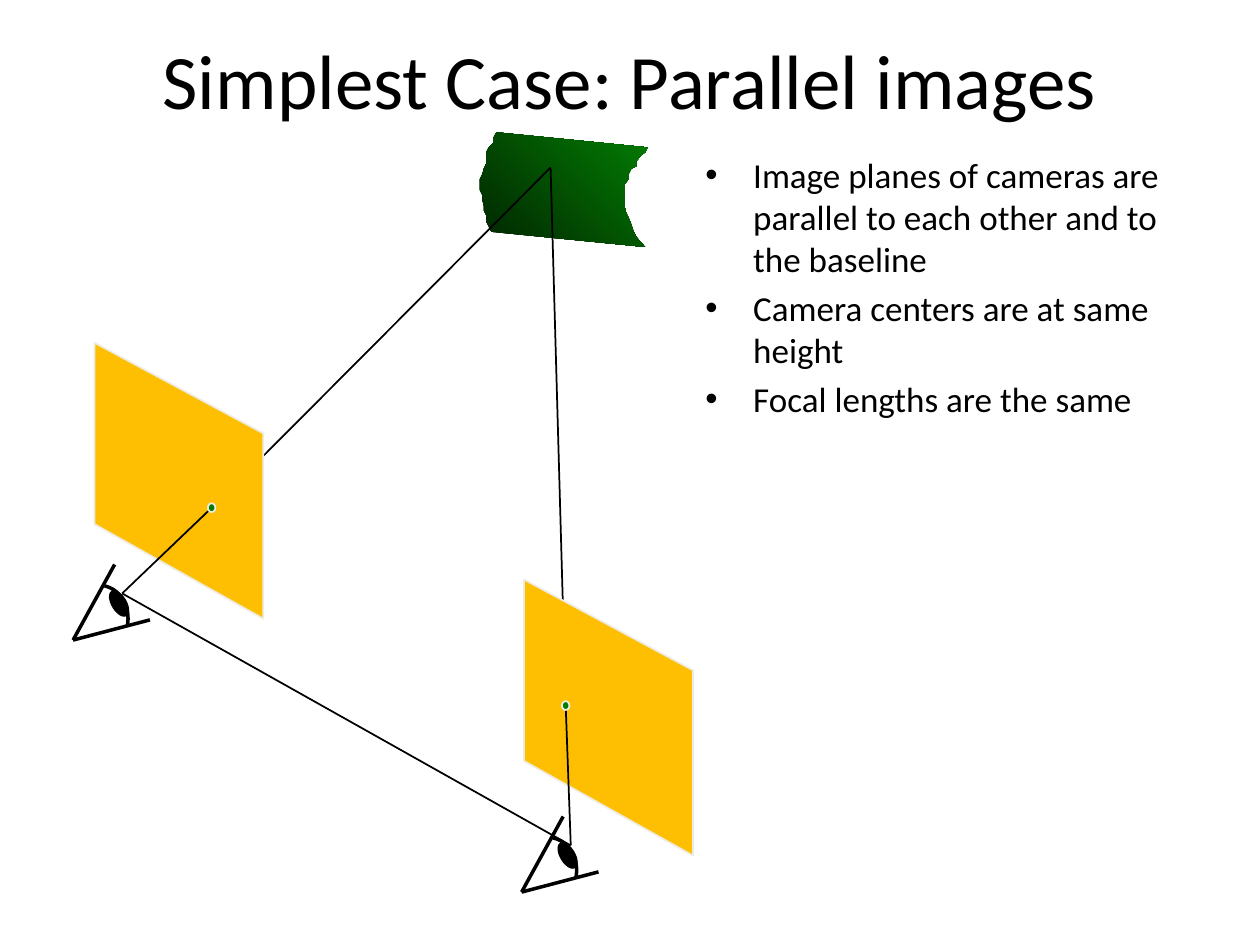
import pptx
import pptx.util
import pptx.dml.color
import pptx.enum.shapes
import pptx.enum.text
from lxml import etree

Inches, Pt = pptx.util.Inches, pptx.util.Pt

# Content
TITLE = "Simplest Case: Parallel images"
BULLETS = [
    "Image planes of cameras are parallel to each other and to the baseline",
    "Camera centers are at same height",
    "Focal lengths are the same",
]
FONT = "Calibri"
COLORS = {"ink": "000000", "plane": "FEBF02", "edge": "EEECE1",
          "dot": "037C03", "dark green": "012501", "green": "037C03"}

# Geometry in inches
SCENE_POINT = (4.37, 1.33)
CAMERAS = [
    {"center": (0.97, 4.71), "image": (1.68, 4.03), "plane": (0.75, 2.72), "eye": (0.58, 5.08)},
    {"center": (4.53, 6.71), "image": (4.49, 5.6), "plane": (4.16, 4.6), "eye": (4.14, 7.08)},
]
PLANE = [(0, 1.44), (1.34, 2.19), (1.34, 0.72), (0, 0)]
EYE_LIDS = [(0.33, -0.6), (0.61, -0.16)]
EYE_CURVE = [(0.25, -0.43), (0.38, -0.4), (0.46, -0.26), (0.43, -0.11)]
PUPIL_CENTER, PUPIL_SIZE = (0.365, -0.29), (0.11, 0.22)
DOT_SIZE = (0.06, 0.07)
SURFACE = [
    (3.94, 1.05), (3.92, 1.09), (3.92, 1.13), (3.88, 1.17), (3.86, 1.21), (3.86, 1.3),
    (3.84, 1.34), (3.83, 1.38), (3.81, 1.42), (3.81, 1.51), (3.83, 1.55), (3.83, 1.59),
    (3.84, 1.63), (3.84, 1.67), (3.86, 1.71), (3.86, 1.76), (3.88, 1.8), (3.9, 1.84),
    (5.12, 1.96), (5.05, 1.88), (5.03, 1.84), (5.01, 1.78), (4.99, 1.73), (4.97, 1.69),
    (4.96, 1.65), (4.96, 1.46), (4.99, 1.42), (4.99, 1.38), (5.01, 1.34), (5.05, 1.32),
    (5.05, 1.28), (5.09, 1.23), (5.12, 1.21), (5.14, 1.17),
]

presentation = pptx.Presentation()
presentation.slide_width, presentation.slide_height = Inches(10), Inches(7.5)
slide = presentation.slides.add_slide(presentation.slide_layouts[5])


def color(name):
    return pptx.dml.color.RGBColor.from_string(COLORS[name])


def shift(origin, offset):
    return origin[0] + offset[0], origin[1] + offset[1]


def write(paragraph, text, size, align=None, bullet=False):
    run = paragraph.add_run()
    run.text = text
    run.font.name, run.font.size = FONT, Pt(size)
    run.font.color.rgb = color("ink")
    paragraph.alignment = align
    if bullet:
        paragraph.space_before = Pt(size * 0.2)
        properties = paragraph._p.get_or_add_pPr()
        properties.set("marL", str(Inches(0.38)))
        properties.set("indent", str(-Inches(0.38)))
        for tag, attribute, value in (("buFont", "typeface", "Arial"), ("buChar", "char", "•")):
            etree.SubElement(properties, pptx.oxml.ns.qn("a:" + tag)).set(attribute, value)


def outline(shape, name, width):
    shape.line.color.rgb = color(name)
    shape.line.width = Pt(width)


def paint(shape, fill, line):
    shape.shadow.inherit = False
    shape.fill.solid()
    shape.fill.fore_color.rgb = color(fill)
    outline(shape, line, 1)


def line(start, end, width=1):
    connector = slide.shapes.add_connector(
        pptx.enum.shapes.MSO_CONNECTOR.STRAIGHT, *map(Inches, start + end))
    outline(connector, "ink", width)
    etree.SubElement(connector._element.spPr, pptx.oxml.ns.qn("a:effectLst"))


def freeform(points, close=True):
    points = [(Inches(x), Inches(y)) for x, y in points]
    builder = slide.shapes.build_freeform(*points[0])
    builder.add_line_segments(points[1:], close=close)
    shape = builder.convert_to_shape()
    shape.shadow.inherit = False
    return shape


def ellipse(center, size, fill, edge, rotation=0):
    corner = shift(center, (-size[0] / 2, -size[1] / 2))
    shape = slide.shapes.add_shape(
        pptx.enum.shapes.MSO_SHAPE.OVAL, *map(Inches, corner + size))
    paint(shape, fill, edge)
    shape.rotation = rotation


def bezier(points, steps=16):
    for step in range(steps + 1):
        t = step / steps
        weights = ((1 - t) ** 3, 3 * t * (1 - t) ** 2, 3 * t ** 2 * (1 - t), t ** 3)
        yield tuple(sum(w * p[axis] for w, p in zip(weights, points)) for axis in (0, 1))


# Title and bullets
title = slide.shapes.title
title.left, title.top, title.width, title.height = map(Inches, (0.5, 0, 9, 1.25))
title.text_frame.vertical_anchor = pptx.enum.text.MSO_ANCHOR.MIDDLE
write(title.text_frame.paragraphs[0], TITLE, 44, align=pptx.enum.text.PP_ALIGN.CENTER)

body = slide.shapes.add_textbox(*map(Inches, (5.5, 1.17, 4.17, 5.75))).text_frame
body.word_wrap = True
for index, text in enumerate(BULLETS):
    paragraph = body.add_paragraph() if index else body.paragraphs[0]
    write(paragraph, text, 20, bullet=True)

# Observed surface
surface = freeform(SURFACE)
surface.line.fill.background()
surface.fill.gradient()
surface.fill.gradient_angle = 45
for stop, name, position in zip(surface.fill.gradient_stops, ("dark green", "green"), (0, 1)):
    stop.color.rgb = color(name)
    stop.position = position

# Baseline, then each camera's rays and image plane
line(*(camera["center"] for camera in CAMERAS))
for camera in CAMERAS:
    line(camera["image"], SCENE_POINT)
    paint(freeform([shift(camera["plane"], corner) for corner in PLANE]), "plane", "edge")
    line(camera["center"], camera["image"])

# Eyes and image points
for camera in CAMERAS:
    eye = camera["eye"]
    curve = freeform([shift(eye, point) for point in bezier(EYE_CURVE)], close=False)
    curve.fill.background()
    outline(curve, "ink", 2)
    for lid in EYE_LIDS:
        line(eye, shift(eye, lid), width=2)
    ellipse(shift(eye, PUPIL_CENTER), PUPIL_SIZE, "ink", "ink", rotation=329)
    ellipse(camera["image"], DOT_SIZE, "dot", "edge")

presentation.save("out.pptx")
